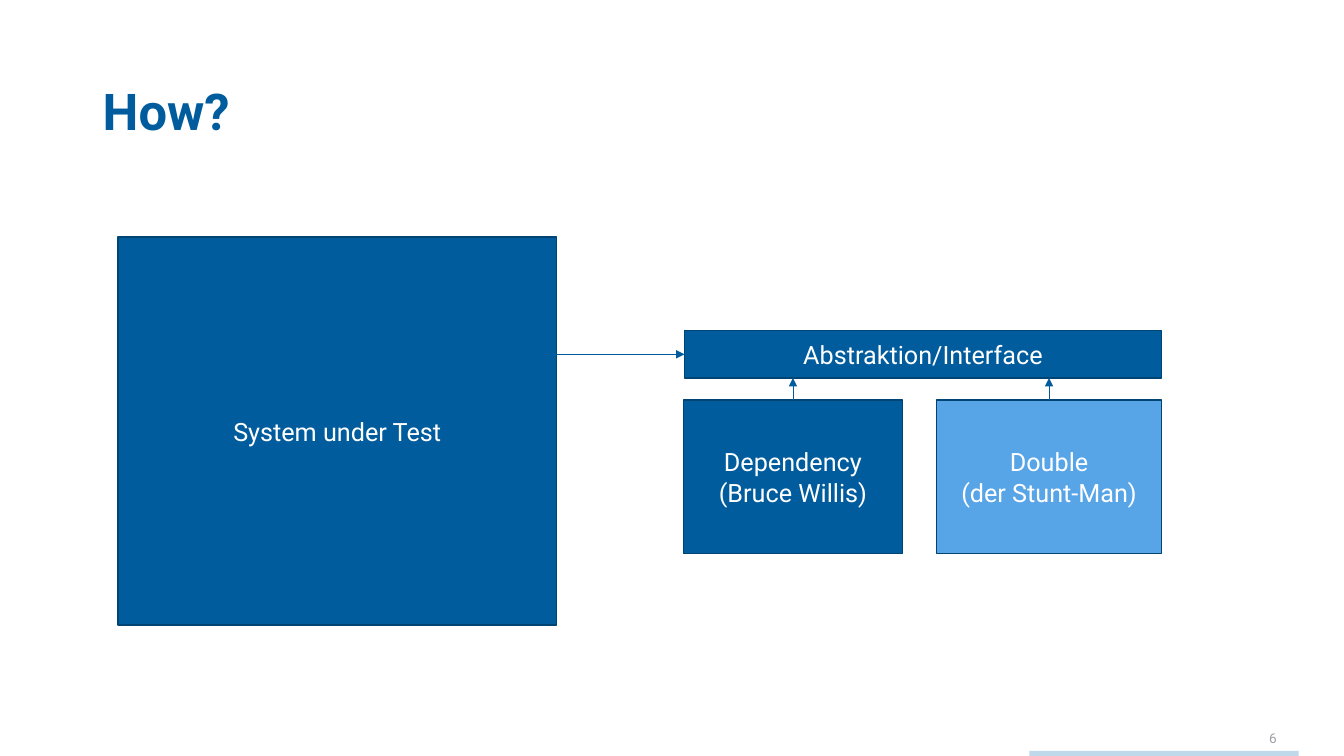
from pptx import Presentation
from pptx.dml.color import RGBColor
from pptx.enum.shapes import MSO_CONNECTOR, MSO_SHAPE
from pptx.enum.text import MSO_ANCHOR, PP_ALIGN
from pptx.oxml.ns import qn
from pptx.util import Pt
from lxml import etree

PX = 9144  # 100 px to the inch
BLUE, LIGHT_BLUE, OUTLINE = "005C9C", "57A4E7", "004473"


def color(value):
    return RGBColor.from_string(value)


def add_span(para, text, size, hue, bold=False):
    span = para.add_run()
    span.text = text
    span.font.name = "Roboto"
    span.font.size = Pt(size)
    span.font.bold = bold
    span.font.color.rgb = color(hue)


deck = Presentation()
deck.slide_width, deck.slide_height = 1333 * PX, 750 * PX
page = deck.slides.add_slide(deck.slide_layouts[6])

# Title and page number
for text, left, top, width, height, size, hue, bold in [
    ("6", 1249, 719, 60, 25, 9.7, "9D9FA2", False),
    ("How?", 92, 81, 1132, 65, 36.2, BLUE, True),
]:
    box = page.shapes.add_textbox(left * PX, top * PX, width * PX, height * PX)
    box.text_frame.word_wrap = True
    para = box.text_frame.paragraphs[0]
    para.line_spacing = 0.9 if bold else 1.0
    add_span(para, text, size, hue, bold)

# Footer bar
bar = page.shapes.add_shape(
    MSO_SHAPE.RECTANGLE, 1021 * PX, 745 * PX, 267 * PX, 5 * PX)
bar.shadow.inherit = False
bar.fill.solid()
bar.fill.fore_color.rgb = color("BFD9EA")
bar.line.fill.background()

# Diagram boxes
boxes = {}
for name, lines, left, top, width, height, fill in [
    ("system", ["System under Test"], 117, 235, 435, 385, BLUE),
    ("double", ["Double", "(der Stunt-Man)"], 929, 397, 223, 152, LIGHT_BLUE),
    ("dependency", ["Dependency", "(Bruce Willis)"], 678, 397, 217, 152, BLUE),
    ("interface", ["Abstraktion/Interface"], 679, 328, 473, 47, BLUE),
]:
    box = page.shapes.add_shape(
        MSO_SHAPE.RECTANGLE, left * PX, top * PX, width * PX, height * PX)
    box.shadow.inherit = False
    box.fill.solid()
    box.fill.fore_color.rgb = color(fill)
    box.line.color.rgb = color(OUTLINE)
    box.line.width = Pt(1)
    frame = box.text_frame
    frame.word_wrap = True
    frame.vertical_anchor = MSO_ANCHOR.MIDDLE
    for index, line in enumerate(lines):
        para = frame.add_paragraph() if index else frame.paragraphs[0]
        para.alignment = PP_ALIGN.CENTER
        add_span(para, line, 18, "FFFFFF")
    boxes[name] = box

# Arrows into the interface
for source, x1, y1, x2, y2 in [
    ("dependency", 787, 397, 787, 375),
    ("double", 1041, 397, 1041, 375),
    ("system", 543, 352, 679, 352),
]:
    arrow = page.shapes.add_connector(
        MSO_CONNECTOR.STRAIGHT, x1 * PX, y1 * PX, x2 * PX, y2 * PX)
    if source == "system":
        arrow.end_connect(boxes["interface"], 1)
        arrow.begin_y = arrow.end_y
    else:
        arrow.begin_connect(boxes[source], 0)
        arrow.end_x = arrow.begin_x
    arrow.line.color.rgb = color(BLUE)
    arrow.line.width = Pt(0.5)
    properties = arrow._element.spPr
    etree.SubElement(properties.find(qn("a:ln")), qn("a:tailEnd"), type="triangle")
    etree.SubElement(properties, qn("a:effectLst"))

deck.save("out.pptx")
